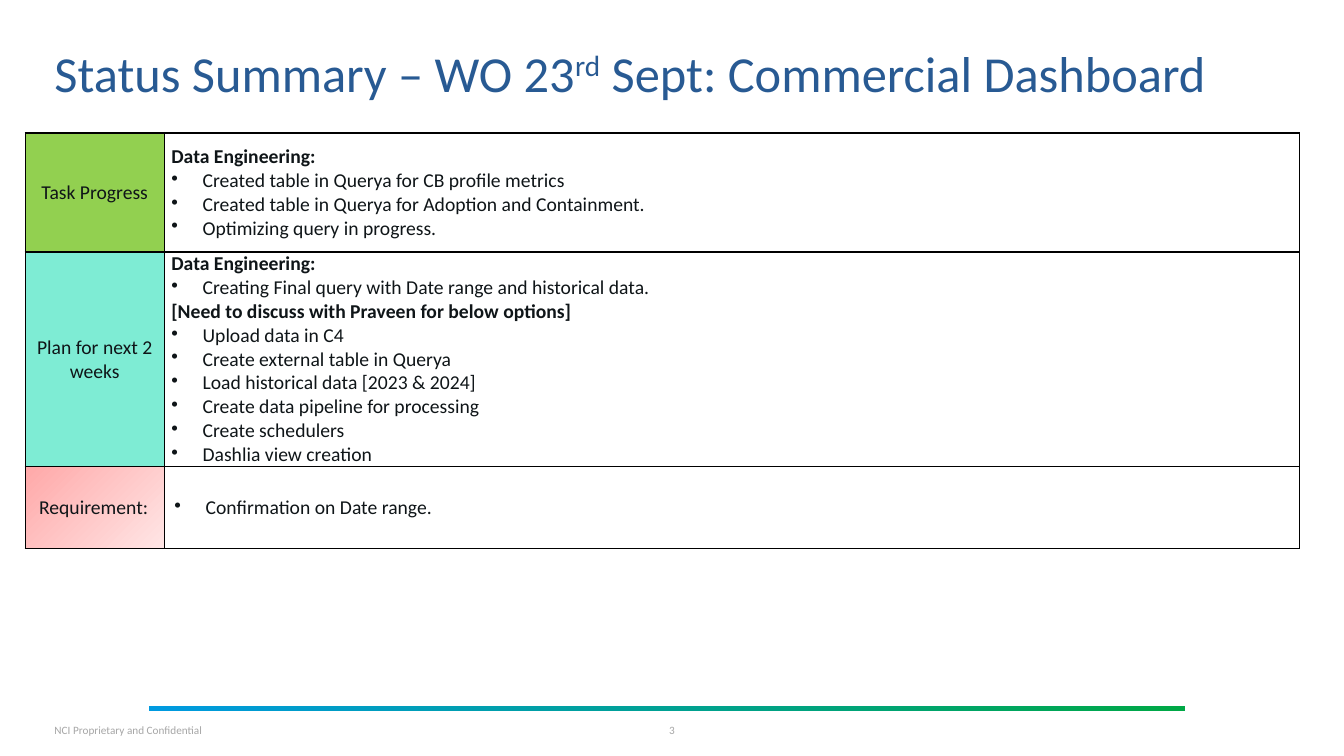
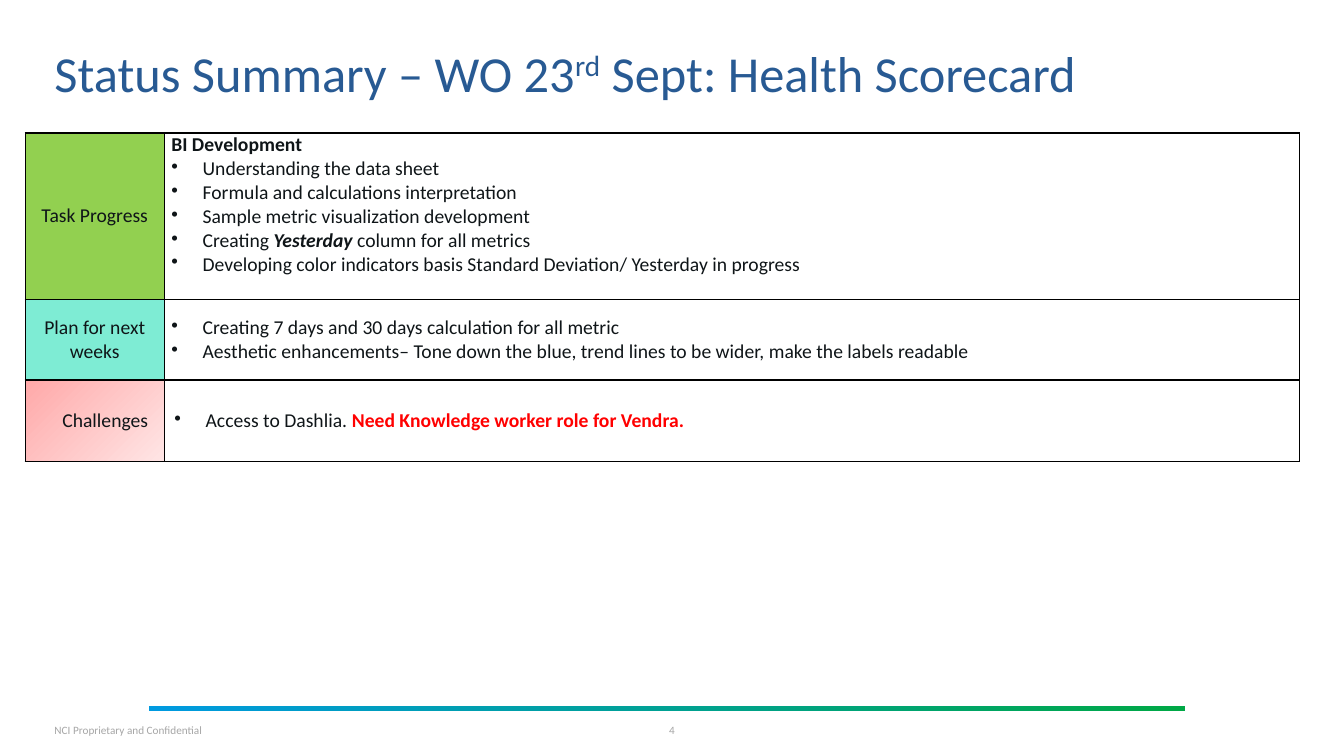
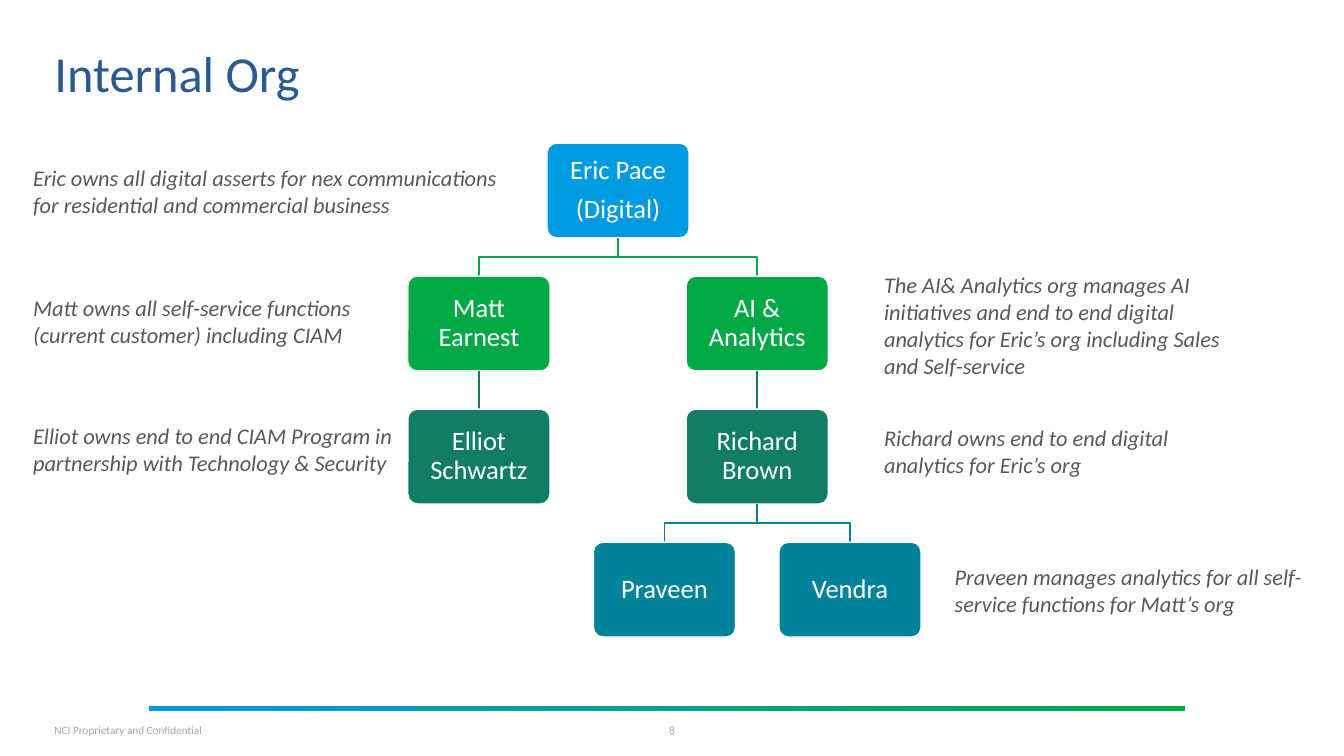
"""Builds a three-slide status deck: two status tables and an organisation chart."""
import pptx
import pptx.dml.color
import pptx.enum.shapes
import pptx.enum.text
import pptx.oxml
import pptx.oxml.ns
import pptx.util

Inches = pptx.util.Inches
Pt = pptx.util.Pt
ALIGN = pptx.enum.text.PP_ALIGN
MIDDLE = pptx.enum.text.MSO_ANCHOR.MIDDLE
SHAPES = pptx.enum.shapes.MSO_SHAPE
NAMESPACE = pptx.oxml.ns.nsdecls("a")

BLUE, GREEN, PINE, TEAL = "009AE0", "00A846", "127C65", "028399"
TITLE_BLUE, INK, GREY, FOOTER_GREY = "285A93", "0F1518", "595959", "A6A6A6"
WHITE, BLACK, RED = "FFFFFF", "000000", "FF0000"


def color(value):
    """Return the colour for a hex string."""
    return pptx.dml.color.RGBColor.from_string(value)


def write(paragraph, pieces, size, value, align=ALIGN.LEFT):
    """Fill a paragraph with (text, style words) pieces, or with one plain string."""
    paragraph.alignment = align
    for text, style in [(pieces, "")] if isinstance(pieces, str) else pieces:
        run = paragraph.add_run()
        run.text = text
        run.font.name = "Calibri"
        run.font.size = Pt(size)
        run.font.bold = "bold" in style
        run.font.italic = "italic" in style
        run.font.color.rgb = color(RED if "red" in style else value)
        if "raised" in style:
            run.font._element.set("baseline", "30000")


presentation = pptx.Presentation()
presentation.slide_width = Inches(13.33)
presentation.slide_height = Inches(7.5)
layout = presentation.slide_layouts[5]

title = layout.placeholders[0]
title.left, title.top, title.width, title.height = map(Inches, (0.54, 0.18, 12.25, 0.98))
frame = title.text_frame
frame.margin_left = frame.margin_right = frame.margin_bottom = 0
frame.margin_top = Inches(0.2)
frame.vertical_anchor = MIDDLE
frame.auto_size = pptx.enum.text.MSO_AUTO_SIZE.NONE

week = [("Status Summary – WO 23", ""), ("rd", "raised")]
pages = [
    (week + [(" Sept: Commercial Dashboard", "")], "3"),
    (week + [(" Sept: Health Scorecard", "")], "4"),
    ("Internal Org", "8"),
]
slides = []
for heading, number in pages:
    slide = presentation.slides.add_slide(layout)
    slides.append(slide)
    paragraph = slide.shapes.title.text_frame.paragraphs[0]
    paragraph.line_spacing = 0.8
    write(paragraph, heading, 36, TITLE_BLUE)
    for left, width, text, align in [
        (0.54, 1.61, "NCI Proprietary and Confidential", ALIGN.LEFT),
        (6.48, 0.37, number, ALIGN.CENTER),
    ]:
        box = slide.shapes.add_textbox(Inches(left), Inches(7.13), Inches(width), Inches(0.23))
        frame = box.text_frame
        frame.margin_left = frame.margin_top = frame.margin_right = frame.margin_bottom = 0
        frame.vertical_anchor = MIDDLE
        frame.word_wrap = True
        write(frame.paragraphs[0], text, 8, FOOTER_GREY, align)

band = slides[0].shapes.add_shape(SHAPES.RECTANGLE, Inches(1.48), Inches(7), Inches(10.27), Inches(0.05))
band.shadow.inherit = False
band.line.fill.background()
band.fill.gradient()
band.fill.gradient_angle = 0
for stop, value in zip(band.fill.gradient_stops, (BLUE, GREEN)):
    stop.color.rgb = color(value)
layout.shapes.element.append(band.element)

engineering = [("Data Engineering:", "bold")]
status_tables = [
    [
        (1.18, "Task Progress", [
            engineering,
            "Created table in Querya for CB profile metrics",
            "Created table in Querya for Adoption and Containment.",
            "Optimizing query in progress.",
        ]),
        (2.13, "Plan for next 2 weeks", [
            engineering,
            "Creating Final query with Date range and historical data.",
            [("[Need to discuss with Praveen for below options]", "bold")],
            "Upload data in C4",
            "Create external table in Querya",
            "Load historical data [2023 & 2024]",
            "Create data pipeline for processing",
            "Create schedulers",
            "Dashlia view creation",
        ]),
        (0.81, "Requirement:", ["Confirmation on Date range."]),
    ],
    [
        (1.65, "Task Progress", [
            [("BI Development", "bold")],
            "Understanding the data sheet",
            "Formula and calculations interpretation",
            "Sample metric visualization development",
            [("Creating ", ""), ("Yesterday", "bold italic"), (" column for all metrics", "")],
            "Developing color indicators basis Standard Deviation/ Yesterday in progress",
        ]),
        (0.8, "Plan for next weeks", [
            "Creating 7 days and 30 days calculation for all metric",
            "Aesthetic enhancements– Tone down the blue, trend lines to be wider, make the labels readable",
        ]),
        (0.81, "Challenges", [
            [("Access to Dashlia. ", ""), ("Need Knowledge worker role for Vendra.", "bold red")],
        ]),
    ],
]
for slide, rows in zip(slides, status_tables):
    height = sum(row[0] for row in rows)
    table = slide.shapes.add_table(3, 2, Inches(0.25), Inches(1.32), Inches(12.64), Inches(height)).table
    table.first_row = table.horz_banding = False
    for column, width in zip(table.columns, (1.38, 11.26)):
        column.width = Inches(width)
    for cell in table.iter_cells():
        cell.vertical_anchor = MIDDLE
        properties = cell._tc.get_or_add_tcPr()
        for side in "LRTB":
            properties.append(pptx.oxml.parse_xml(
                f'<a:ln{side} {NAMESPACE} w="12700"><a:solidFill><a:srgbClr val="{BLACK}"/></a:solidFill></a:ln{side}>'
            ))
    for index, (height, label, items) in enumerate(rows):
        table.rows[index].height = Inches(height)
        label_cell, item_cell = table.cell(index, 0), table.cell(index, 1)
        item_cell.fill.solid()
        item_cell.fill.fore_color.rgb = color(WHITE)
        if index < 2:
            label_cell.fill.solid()
            label_cell.fill.fore_color.rgb = color(("92D050", "7EECD4")[index])
            item_cell.margin_left = item_cell.margin_right = Inches(0.07)
            item_cell.margin_top = item_cell.margin_bottom = 0
        else:
            label_cell.fill.gradient()
            label_cell.fill.gradient_angle = 315
            for stop, value in zip(label_cell.fill.gradient_stops, ("FFA9A9", "FFE5E5")):
                stop.color.rgb = color(value)
            label_cell.margin_left = Inches(0.07)
            label_cell.margin_right = Inches(0.16)
        align = ALIGN.CENTER if index < 2 else ALIGN.RIGHT
        write(label_cell.text_frame.paragraphs[0], label, 14, INK, align)
        frame = item_cell.text_frame
        for position, item in enumerate(items):
            paragraph = frame.paragraphs[0] if position == 0 else frame.add_paragraph()
            write(paragraph, item, 14, INK)
            if isinstance(item, str) or len(item) > 1:
                properties = paragraph._p.get_or_add_pPr()
                properties.set("marL", str(Inches(0.31)))
                properties.set("indent", str(-Inches(0.31)))
                properties.append(pptx.oxml.parse_xml(f'<a:buChar {NAMESPACE} char="•"/>'))
    if slide is slides[1]:
        table.cell(0, 1).margin_bottom = Inches(0.23)

BOX_WIDTH, BOX_HEIGHT, ROW_STEP, CHART_TOP = 1.41, 0.94, 1.32, 1.42
COLUMN_STEP, CHART_CENTER = 0.46, 6.13
slide = slides[2]
people = [
    (["Eric Pace", "(Digital)"], 0, 0, None, WHITE),
    (["Matt Earnest"], 1, -3, 0, "E7E7E7"),
    (["AI & Analytics"], 1, 3, 0, WHITE),
    (["Elliot Schwartz"], 2, -3, -3, WHITE),
    (["Richard Brown"], 2, 3, 3, WHITE),
    (["Praveen"], 3, 1, 3, WHITE),
    (["Vendra"], 3, 5, 3, WHITE),
]
for lines, row, column, parent, outline in people:
    row_color = (BLUE, GREEN, PINE, TEAL)[row]
    center = CHART_CENTER + column * COLUMN_STEP
    top = CHART_TOP + row * ROW_STEP
    if parent is not None:
        start = CHART_CENTER + parent * COLUMN_STEP
        link_top = top - ROW_STEP + BOX_HEIGHT
        if parent == column:
            link = slide.shapes.add_connector(
                pptx.enum.shapes.MSO_CONNECTOR.STRAIGHT,
                Inches(start), Inches(link_top), Inches(center), Inches(top),
            )
            link._element.spPr.append(pptx.oxml.parse_xml(f"<a:effectLst {NAMESPACE}/>"))
        else:
            bend = (link_top + top) / 2
            builder = slide.shapes.build_freeform(Inches(start), Inches(link_top))
            corners = [(start, bend), (center, bend), (center, top)]
            builder.add_line_segments([(Inches(x), Inches(y)) for x, y in corners], close=False)
            link = builder.convert_to_shape()
            link.fill.background()
            link.shadow.inherit = False
        link.line.color.rgb = color(row_color)
        link.line.width = Pt(1)
    box = slide.shapes.add_shape(
        SHAPES.ROUNDED_RECTANGLE,
        Inches(center - BOX_WIDTH / 2), Inches(top), Inches(BOX_WIDTH), Inches(BOX_HEIGHT),
    )
    box.adjustments[0] = 0.1
    box.shadow.inherit = False
    box.fill.solid()
    box.fill.fore_color.rgb = color(row_color)
    box.line.color.rgb = color(outline)
    box.line.width = Pt(1)
    frame = box.text_frame
    frame.margin_left = frame.margin_right = frame.margin_top = frame.margin_bottom = Inches(0.1)
    frame.vertical_anchor = MIDDLE
    for position, line in enumerate(lines):
        paragraph = frame.paragraphs[0] if position == 0 else frame.add_paragraph()
        paragraph.line_spacing = 0.9
        paragraph.space_after = Pt(7 if line != lines[-1] else 0)
        write(paragraph, line, 19, WHITE, ALIGN.CENTER)

notes = [
    (0.23, 1.58, 4.96, 0.64, "Eric owns all digital asserts for nex communications for residential and commercial business"),
    (0.23, 2.87, 3.83, 0.64, "Matt owns all self-service functions (current customer) including CIAM"),
    (0.23, 4.14, 3.83, 0.64, "Elliot owns end to end CIAM Program in partnership with Technology & Security"),
    (8.67, 2.64, 3.83, 1.18, "The AI& Analytics org manages AI initiatives and end to end digital analytics "
                             "for Eric’s org including Sales and Self-service"),
    (8.67, 4.16, 3.83, 0.64, "Richard owns end to end digital analytics for Eric’s org"),
    (9.37, 5.54, 3.83, 0.64, "Praveen manages analytics for all self-service functions for Matt’s org"),
]
for left, top, width, height, text in notes:
    box = slide.shapes.add_textbox(Inches(left), Inches(top), Inches(width), Inches(height))
    box.text_frame.word_wrap = True
    write(box.text_frame.paragraphs[0], [(text, "italic")], 16, GREY)

presentation.save("out.pptx")
